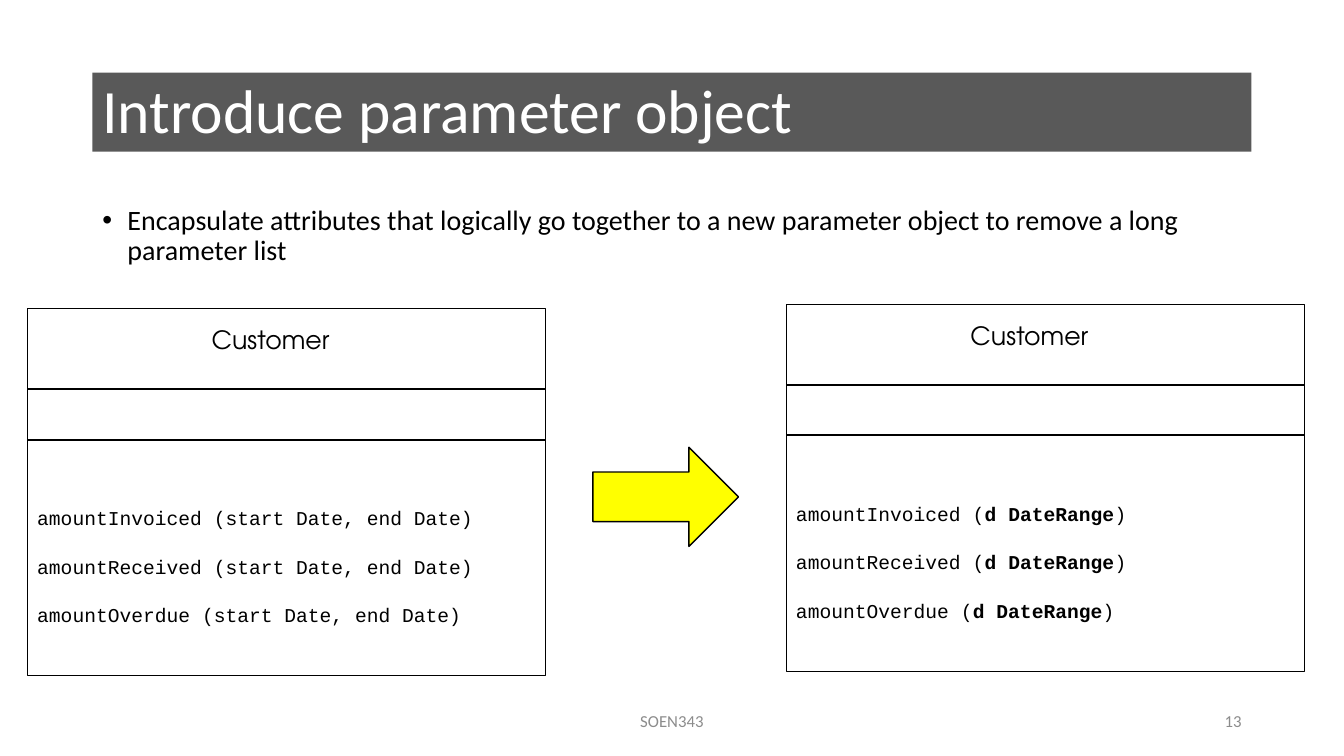
from dataclasses import dataclass
from lxml.etree import SubElement
from pptx import Presentation
from pptx.dml.color import RGBColor
from pptx.enum.shapes import MSO_CONNECTOR, MSO_SHAPE
from pptx.enum.text import MSO_ANCHOR, PP_ALIGN
from pptx.oxml.ns import qn
from pptx.util import Pt


@dataclass(frozen=True)
class Theme:
    black: RGBColor = RGBColor(0, 0, 0)
    white: RGBColor = RGBColor(255, 255, 255)
    gray: RGBColor = RGBColor(0x8C, 0x8C, 0x8C)
    yellow: RGBColor = RGBColor(255, 255, 0)
    body_font: str = "Calibri"
    class_font: str = "TeX Gyre Adventor"
    code_font: str = "Courier New"
    title_size: int = 44
    body_size: int = 20
    class_size: int = 18
    code_size: int = 14
    footer_size: int = 12


theme = Theme()
presentation = Presentation()
presentation.slide_width = Pt(960)
presentation.slide_height = Pt(540)
slide = presentation.slides.add_slide(presentation.slide_layouts[6])


def add_text(box, lines, font, size, color, align=PP_ALIGN.LEFT, anchor=MSO_ANCHOR.TOP):
    text_frame = slide.shapes.add_textbox(*map(Pt, box)).text_frame
    text_frame.word_wrap = True
    text_frame.vertical_anchor = anchor
    text_frame.text = "\n".join(lines)
    for paragraph in text_frame.paragraphs:
        paragraph.alignment = align
        paragraph.font.name = font
        paragraph.font.size = Pt(size)
        paragraph.font.color.rgb = color
    return text_frame.paragraphs


def add_box(kind, box, line_width):
    shape = slide.shapes.add_shape(kind, *map(Pt, box))
    shape.shadow.inherit = False
    shape.fill.background()
    shape.line.color.rgb = theme.black
    shape.line.width = Pt(line_width)
    return shape


band = add_box(MSO_SHAPE.RECTANGLE, (66, 52, 828, 56.4), 0)
band.line.fill.background()
band.fill.solid()
band.fill.fore_color.rgb = theme.black
band_color = band.fill._xPr.find(qn("a:solidFill")).find(qn("a:srgbClr"))
SubElement(band_color, qn("a:alpha"), val="65000")

title = add_text((66, 28.75, 828, 104.4), ["Introduce parameter object"], theme.body_font,
                 theme.title_size, theme.white, anchor=MSO_ANCHOR.MIDDLE)[0]
title.line_spacing = 0.9

bullet = add_text((66, 143.75, 828, 342.6),
                  ["Encapsulate attributes that logically go together to a new "
                   "parameter object to remove a long parameter list"],
                  theme.body_font, theme.body_size, theme.black)[0]
bullet.line_spacing = 0.9
bullet.space_before = Pt(10)
bullet_properties = bullet._p.get_or_add_pPr()
bullet_properties.set("marL", str(Pt(18)))
bullet_properties.set("indent", str(Pt(-18)))
bullet_font = SubElement(bullet_properties, qn("a:buFont"), typeface="Arial")
bullet_mark = SubElement(bullet_properties, qn("a:buChar"), char="•")
bullet_font.addnext(bullet_mark)
default_run = bullet_properties.find(qn("a:defRPr"))
bullet_mark.addnext(default_run)

methods = ["amountInvoiced", "amountReceived", "amountOverdue"]
class_width, class_height = 370, 262.2
for left, top, parameters, is_bold in [
    (19.5, 220.5, "start Date, end Date", False),
    (561.5, 217.5, "d DateRange", True),
]:
    add_box(MSO_SHAPE.RECTANGLE, (left, top, class_width, class_height), 0.5)
    for offset in (57.5, 93.5):
        divider = slide.shapes.add_connector(
            MSO_CONNECTOR.STRAIGHT, Pt(left), Pt(top + offset),
            Pt(left + class_width), Pt(top + offset))
        divider.line.color.rgb = theme.black
        divider.line.width = Pt(1.5)
        SubElement(divider._element.spPr, qn("a:effectLst"))
    add_text((left + 16.5, top + 7.5, 314.5, 29), ["Customer"], theme.class_font,
             theme.class_size, theme.black, PP_ALIGN.CENTER)
    signatures = add_text((left, top + 137.5, class_width, 92), [""] * len(methods),
                          theme.code_font, theme.code_size, theme.black)
    for index, (paragraph, method) in enumerate(zip(signatures, methods)):
        paragraph.space_before = Pt(17.7 if index else 0)
        for text, bold in ((f"{method} (", False), (parameters, is_bold), (")", False)):
            run = paragraph.add_run()
            run.text = text
            run.font.bold = bold

arrow = add_box(MSO_SHAPE.RIGHT_ARROW, (423.5, 319.5, 104, 70.8), 1)
arrow.fill.solid()
arrow.fill.fore_color.rgb = theme.yellow

for left, width, text, align in [
    (318, 324, "SOEN343", PP_ALIGN.CENTER),
    (678, 216, "13", PP_ALIGN.RIGHT),
]:
    add_text((left, 500.5, width, 28.75), [text], theme.body_font, theme.footer_size,
             theme.gray, align, MSO_ANCHOR.MIDDLE)

presentation.save("out.pptx")
